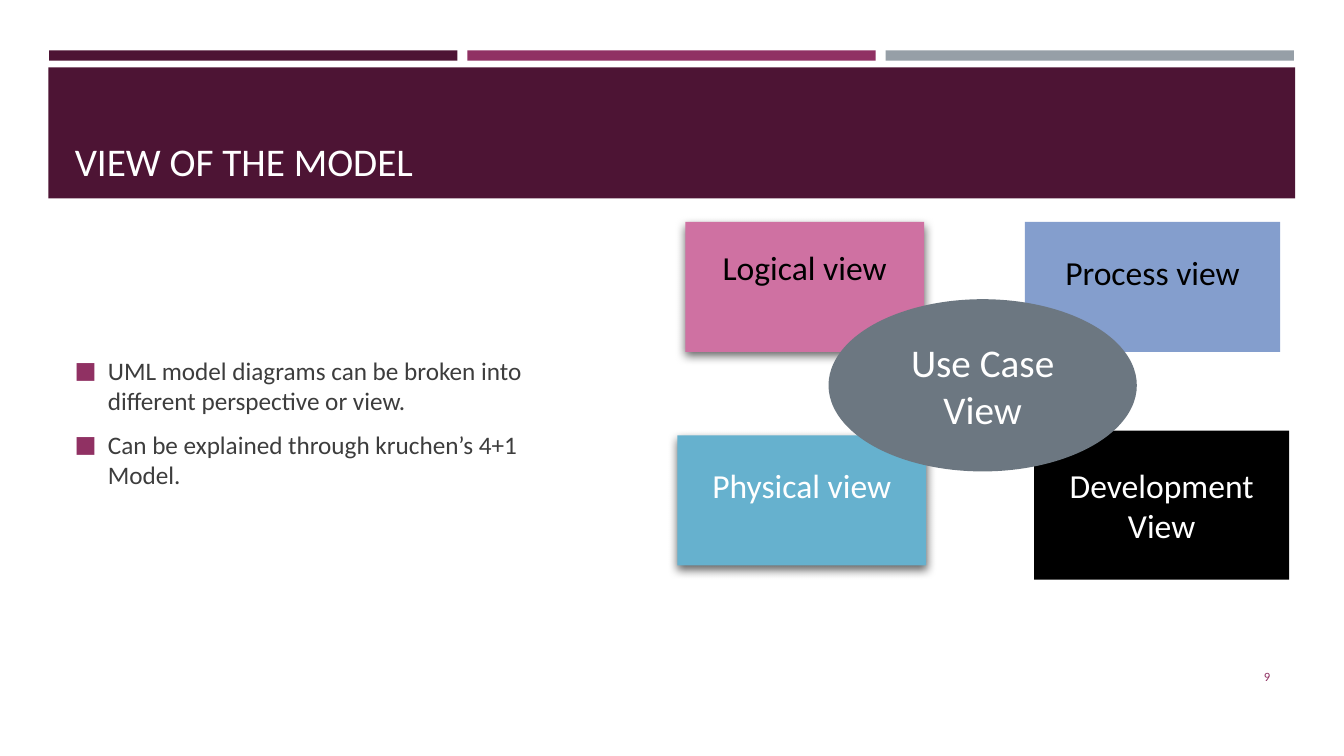
from lxml.etree import SubElement
from pptx import Presentation
from pptx.dml.color import RGBColor
from pptx.enum.shapes import MSO_SHAPE
from pptx.enum.text import MSO_ANCHOR, MSO_AUTO_SIZE, PP_ALIGN
from pptx.oxml.ns import qn
from pptx.util import Cm, Pt

PLUM, MAGENTA, GREY = "4D1434", "903163", "969FA7"
WHITE, BLACK = "FFFFFF", "000000"

VIEWS = [
    ("Logical view", (17.27, 5.59, 6.02, 3.28), "CF71A2", BLACK, 1.02, True),
    ("Process view", (25.83, 5.59, 6.43, 3.28), "849ECD", BLACK, 0.76, False),
    ("Physical view", (17.07, 10.97, 6.27, 3.28), "66B1CE", WHITE, 0.76, True),
    ("Development View", (26.06, 10.85, 6.43, 3.76), BLACK, WHITE, 0, False),
]
POINTS = [
    "UML model diagrams can be broken into different perspective or view.",
    "Can be explained through kruchen’s 4+1 Model.",
]


def colour(value):
    return RGBColor.from_string(value)


def write(shape, lines, size, ink, align=PP_ALIGN.LEFT,
          anchor=MSO_ANCHOR.MIDDLE, lift=0):
    frame = shape.text_frame
    frame.auto_size = MSO_AUTO_SIZE.NONE
    frame.word_wrap = True
    frame.vertical_anchor = anchor
    frame.margin_bottom = Cm(0.13 + lift)
    frame.text = "\n".join(lines)
    for paragraph in frame.paragraphs:
        paragraph.alignment = align
        font = paragraph.runs[0].font
        font.name, font.size = "Calibri", Pt(size)
        font.color.rgb = colour(ink)
    return frame


def add_block(slide, place, fill, kind=MSO_SHAPE.RECTANGLE):
    block = slide.shapes.add_shape(kind, *map(Cm, place))
    block.shadow.inherit = False
    block.fill.solid()
    block.fill.fore_color.rgb = colour(fill)
    block.line.fill.background()
    return block


def add_text(slide, place, lines, size, ink, **layout):
    box = slide.shapes.add_textbox(*map(Cm, place))
    return write(box, lines, size, ink, **layout)


def cast_shadow(block):
    effects = block._element.spPr.find(qn("a:effectLst"))
    shadow = SubElement(effects, qn("a:outerShdw"), blurRad=str(Pt(7)),
                        dist=str(Pt(3)), dir=str(84 * 60000), rotWithShape="0")
    tint = SubElement(shadow, qn("a:srgbClr"), val=BLACK)
    SubElement(tint, qn("a:alpha"), val="60000")


def add_bullet(paragraph):
    paragraph.space_before, paragraph.space_after = Pt(3.6), Pt(6)
    properties = paragraph._p.get_or_add_pPr()
    properties.set("marL", str(Cm(0.84)))
    properties.set("indent", str(-Cm(0.84)))
    tint = SubElement(properties, qn("a:buClr"))
    SubElement(tint, qn("a:srgbClr"), val=MAGENTA)
    SubElement(properties, qn("a:buSzPct"), val="92000")
    SubElement(properties, qn("a:buFont"), typeface="Calibri")
    SubElement(properties, qn("a:buChar"), char="■")


def add_header(slide):
    for column, fill in enumerate((PLUM, MAGENTA, GREY)):
        add_block(slide, (1.24 + column * 10.54, 1.27, 10.29, 0.26), fill)
    add_block(slide, (1.22, 1.7, 31.42, 3.3), PLUM)
    title = slide.shapes.title
    title.left, title.top, title.width, title.height = map(
        Cm, (1.63, 1.96, 30.63, 2.82))
    write(title, ["VIEW OF THE MODEL"], 28, WHITE, anchor=MSO_ANCHOR.BOTTOM)
    slide.shapes._spTree.append(title._element)


def add_points(slide):
    frame = add_text(slide, (1.63, 6.05, 13.13, 10.21), POINTS, 18, "3D3D3D",
                     lift=1)
    for paragraph in frame.paragraphs:
        add_bullet(paragraph)


def add_views(slide):
    for name, place, fill, ink, lift, raised in VIEWS:
        view = add_block(slide, place, fill)
        write(view, [name], 24, ink, align=PP_ALIGN.CENTER, lift=lift)
        if raised:
            cast_shadow(view)
    use_case = add_block(slide, (20.88, 7.54, 7.77, 4.34), "6C7781",
                         MSO_SHAPE.OVAL)
    write(use_case, ["Use Case", "View"], 28, WHITE, align=PP_ALIGN.CENTER)


def main():
    deck = Presentation()
    deck.slide_width, deck.slide_height = Cm(33.87), Cm(19.05)
    slide = deck.slides.add_slide(deck.slide_layouts.get_by_name("Title Only"))
    add_header(slide)
    add_points(slide)
    add_views(slide)
    add_text(slide, (29.34, 16.54, 2.92, 1.02), ["9"], 9, MAGENTA,
             align=PP_ALIGN.RIGHT)
    deck.save("out.pptx")


if __name__ == "__main__":
    main()
